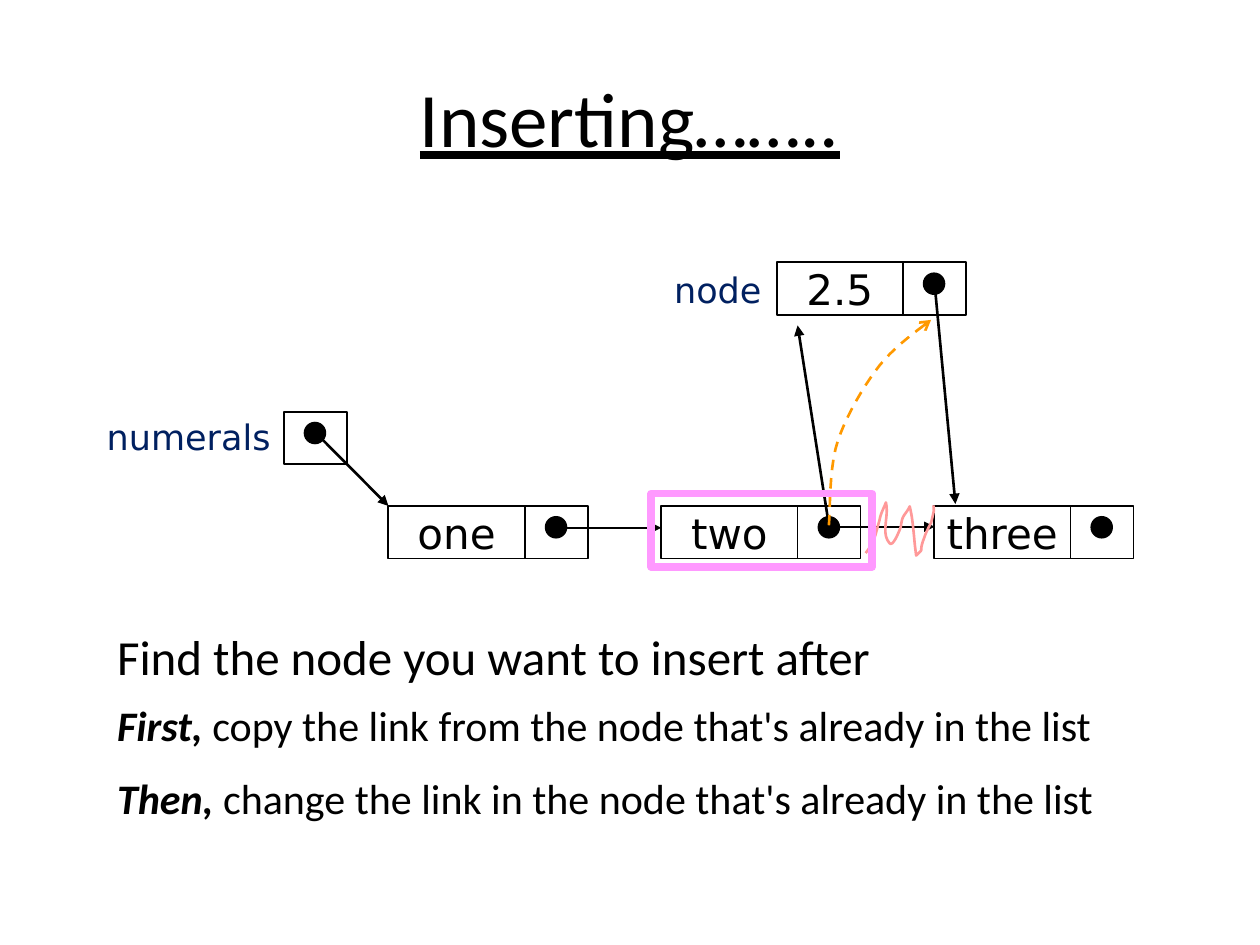
from lxml import etree
from pptx import Presentation
from pptx import util as u
from pptx.dml.color import RGBColor
from pptx.enum import dml, shapes, text
from pptx.oxml.ns import qn

rgb = RGBColor.from_string


def style(shape, color="000000", width=1, fill=None, tail=None, dash=None):
    shape.line.color.rgb = rgb(color)
    shape.line.width = u.Pt(width)
    if dash:
        shape.line.dash_style = dash
    properties = shape.element.spPr
    if tail:
        etree.SubElement(properties.find(qn("a:ln")), qn("a:tailEnd"), type=tail)
    etree.SubElement(properties, qn("a:effectLst"))
    if fill:
        shape.fill.solid()
        shape.fill.fore_color.rgb = rgb(fill)
    elif hasattr(shape, "fill"):
        shape.fill.background()


def write(frame, runs, color="000000", align=text.PP_ALIGN.LEFT,
          anchor=text.MSO_ANCHOR.TOP, wrap=True):
    frame.word_wrap = wrap
    frame.vertical_anchor = anchor
    paragraph = frame.paragraphs[0]
    paragraph.alignment = align
    for words, formats in runs:
        run = paragraph.add_run()
        run.text = words
        run.font.color.rgb = rgb(color)
        for attribute, value in formats.items():
            setattr(run.font, attribute, value)


deck = Presentation()
deck.slide_width, deck.slide_height = u.Cm(25.4), u.Cm(19.05)
slide = deck.slides.add_slide(deck.slide_layouts[5])
parts = slide.shapes

heading = parts.title
heading.left, heading.top, heading.width, heading.height = map(u.Cm, (1.27, 0.76, 22.86, 3.18))
write(heading.text_frame,
      [("Inserting……..", {"name": "Calibri", "size": u.Pt(44), "underline": True})],
      align=text.PP_ALIGN.CENTER, anchor=text.MSO_ANCHOR.MIDDLE)

cell_height, link_width, dot_size = 1.06, 1.27, 0.42
value_font = {"name": "DejaVu Sans", "size": u.Pt(24)}
label_font = {"name": "DejaVu Sans", "size": u.Pt(20)}
list_left, list_top, value_width, node_pitch = 7.83, 10.2, 2.75, 5.5

nodes = [(word, list_left + i * node_pitch, list_top, value_width)
         for i, word in enumerate(("one", "two", "three"))]
nodes += [("2.5", 15.66, 5.29, 2.54), ("", 5.72, 8.3, 0)]
for word, left, top, width in nodes:
    if word:
        value = parts.add_shape(shapes.MSO_SHAPE.RECTANGLE,
                                *map(u.Cm, (left, top, width, cell_height)))
        style(value)
        write(value.text_frame, [(word, value_font)], align=text.PP_ALIGN.CENTER,
              anchor=text.MSO_ANCHOR.MIDDLE, wrap=False)
    link_left = left + width
    link = parts.add_shape(shapes.MSO_SHAPE.RECTANGLE,
                           *map(u.Cm, (link_left, top, link_width, cell_height)))
    style(link)
    dot = parts.add_shape(shapes.MSO_SHAPE.OVAL,
                          *map(u.Cm, (link_left + 0.42, top + 0.22, dot_size, dot_size)))
    style(dot, fill="000000")

for word, left, top, width in (("numerals", 1.9, 8.25, 4.02), ("node", 13.34, 5.28, 2.33)):
    label = parts.add_textbox(*map(u.Cm, (left, top, width, 1.12)))
    write(label.text_frame, [(word, label_font)], color="002060")

steps = [
    (12.5, 28, "", "Find the node you want to insert after"),
    (13.97, 24, "First, ", "copy the link from the node that's already in the list"),
    (15.44, 24, "Then,", " change the link in the node that's already in the list"),
]
for top, size, lead, rest in steps:
    step = parts.add_textbox(*map(u.Cm, (2.11, top, 22, 1.27)))
    plain = {"name": "Calibri", "size": u.Pt(size)}
    runs = [(lead, {**plain, "bold": True, "italic": True})] if lead else []
    write(step.text_frame, runs + [(rest, plain)])

arrows = [
    (11.23, 10.64, 13.33, 10.64, 1),
    (16.71, 10.62, 18.84, 10.62, 1),
    (6.35, 8.71, 7.83, 10.2, 1.5),
    (18.84, 5.72, 19.26, 10.16, 1.5),
    (16.71, 10.59, 16.08, 6.56, 1.5),
]
for *ends, width in arrows:
    arrow = parts.add_connector(shapes.MSO_CONNECTOR.STRAIGHT, *map(u.Cm, ends))
    style(arrow, width=width, tail="triangle")

copied_link = [
    (16.71, 10.59), (16.74, 10.31), (16.71, 9.42), (16.89, 8.89), (17.07, 8.36),
    (17.42, 7.77), (17.73, 7.37), (18.06, 6.96), (18.54, 6.63), (18.77, 6.45),
]
scribble = [
    (17.45, 11.15), (17.65, 10.9), (17.63, 10.82), (17.73, 10.49), (17.75, 10.36),
    (17.81, 10.26), (17.86, 10.13), (17.93, 10.41), (17.75, 10.74), (17.93, 10.95),
    (18.01, 11.05), (18.16, 10.62), (18.16, 10.62), (18.19, 10.36), (18.24, 10.41),
    (18.34, 10.21), (18.42, 10.54), (18.42, 10.87), (18.47, 11.2), (18.67, 11),
    (18.49, 11.2), (18.64, 10.82), (18.67, 10.72), (18.77, 10.54), (18.77, 10.54),
    (18.85, 10.21), (18.82, 10.34), (18.82, 10.19),
]
curves = [
    (copied_link, {"color": "FF9900", "tail": "arrow", "dash": dml.MSO_LINE.DASH}),
    (scribble, {"color": "FF9999"}),
]
samples = 10
for controls, formats in curves:
    points = []
    for i in range(0, len(controls) - 1, 3):
        for t in (k / samples for k in range(1, samples + 1)):
            weights = ((1 - t) ** 3, 3 * t * (1 - t) ** 2, 3 * t * t * (1 - t), t ** 3)
            points.append([u.Cm(sum(w * p[axis] for w, p in zip(weights, controls[i:i + 4])))
                           for axis in (0, 1)])
    outline = parts.build_freeform(*map(u.Cm, controls[0]))
    outline.add_line_segments(points, close=False)
    style(outline.convert_to_shape(), width=1.5, **formats)

highlight = parts.add_shape(shapes.MSO_SHAPE.RECTANGLE, *map(u.Cm, (13.13, 9.95, 4.45, 1.48)))
style(highlight, color="FF99FF", width=4.5)

deck.save("out.pptx")
